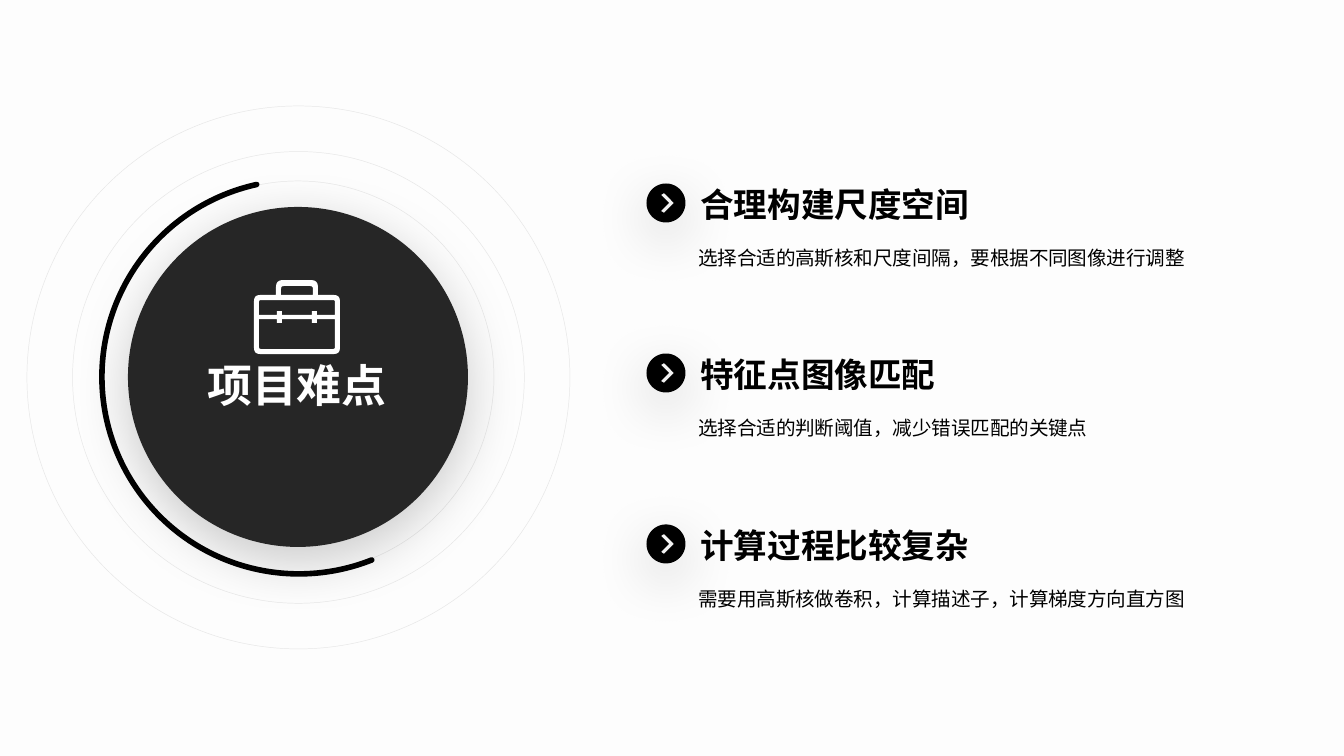
from dataclasses import dataclass
from math import cos, pi, sin

from lxml import etree
from pptx import Presentation
from pptx.dml.color import RGBColor
from pptx.enum.shapes import MSO_SHAPE
from pptx.enum.text import MSO_ANCHOR, MSO_AUTO_SIZE, PP_ALIGN
from pptx.oxml.ns import qn
from pptx.util import Emu, Pt

DONUT, DISC, ARC = MSO_SHAPE.DONUT, MSO_SHAPE.OVAL, MSO_SHAPE.ARC
TOP, GROW = MSO_ANCHOR.TOP, MSO_AUTO_SIZE.SHAPE_TO_FIT_TEXT
LEFT, MID = PP_ALIGN.LEFT, PP_ALIGN.CENTER

WIDE, HIGH = 1344, 756
SCALE = 9144000 / WIDE


@dataclass(frozen=True)
class Theme:
    back: str = "FDFDFD"
    ink: str = "000000"
    dark: str = "262626"
    white: str = "FFFFFF"
    ring: str = "B2B2B2"
    head: str = "Quicksand"
    body: str = "Calibri"
    big: float = 24
    mid: float = 18
    small: float = 10.5


T = Theme()

ITEMS = [
    ("合理构建尺度空间", "选择合适的高斯核和尺度间隔，要根据不同图像进行调整"),
    ("特征点图像匹配", "选择合适的判断阈值，减少错误匹配的关键点"),
    ("计算过程比较复杂", "需要用高斯核做卷积，计算描述子，计算梯度方向直方图"),
]

# Corners of the briefcase: x, y, rounding
CASE = [
    [(254, 295, 6), (276, 295, 0), (276, 280, 7), (318, 280, 7),
     (318, 295, 0), (340, 295, 6), (340, 354, 6), (254, 354, 6)],
    [(281, 295, 0), (281, 286, 3), (313, 286, 3), (313, 295, 0)],
    [(259, 315, 0), (259, 300, 2), (335, 300, 2), (335, 315, 0),
     (317, 315, 0), (317, 311, 0), (312, 311, 0), (312, 315, 0),
     (282, 315, 0), (282, 311, 0), (277, 311, 0), (277, 315, 0)],
    [(259, 319, 0), (277, 319, 0), (277, 323, 0), (282, 323, 0),
     (282, 319, 0), (312, 319, 0), (312, 323, 0), (317, 323, 0),
     (317, 319, 0), (335, 319, 0), (335, 349, 2), (259, 349, 2)],
]
ARROW = [(-5, -8, 1), (-2, -10, 1), (8, 0, 1),
         (-2, 10, 1), (-5, 8, 1), (3, 0, 0)]


def px(n):
    return Emu(round(n * SCALE))


def rgb(code):
    return RGBColor.from_string(code)


def shade(shape):
    """Give a shape a soft shadow below it."""
    shape.shadow.inherit = False
    glow = etree.SubElement(
        shape._element.spPr.find(qn("a:effectLst")), qn("a:outerShdw"),
        blurRad=str(Pt(30)), dist=str(Pt(8)), dir="5400000",
        algn="t", rotWithShape="0")
    tint = etree.SubElement(glow, qn("a:srgbClr"), val=T.ink)
    etree.SubElement(tint, qn("a:alpha"), val="20000")


def paint(shape, fill=None, line=None, width=0):
    shape.shadow.inherit = False
    if fill:
        shape.fill.solid()
        shape.fill.fore_color.rgb = rgb(fill)
    else:
        shape.fill.background()
    if line:
        shape.line.color.rgb = rgb(line)
        shape.line.width = Pt(width)
    else:
        shape.line.fill.background()


def round_form(slide, kind, x, y, size, adj=()):
    shape = slide.shapes.add_shape(kind, px(x), px(y), px(size), px(size))
    for i, value in enumerate(adj):
        shape.adjustments[i] = value
    return shape


def bend(corners):
    """Turn corners into points, rounding each by its own reach."""
    points = []
    for i, (x, y, reach) in enumerate(corners):
        if not reach:
            points.append((x, y))
            continue
        ends = []
        for u, v, _ in (corners[i - 1], corners[(i + 1) % len(corners)]):
            span = ((u - x) ** 2 + (v - y) ** 2) ** 0.5
            ends.append((x + (u - x) * reach / span,
                         y + (v - y) * reach / span))
        (a, b), (c, d) = ends
        for t in (0, 0.25, 0.5, 0.75, 1):
            p, q, r = (1 - t) ** 2, 2 * t * (1 - t), t * t
            points.append((p * a + q * x + r * c, p * b + q * y + r * d))
    return points


def outline(slide, loops, fill):
    """Draw closed loops as one form; inner loops are holes."""
    loops = [[(px(x), px(y)) for x, y in loop] for loop in loops]
    pen = slide.shapes.build_freeform(*loops[0][0], scale=1.0)
    for i, loop in enumerate(loops):
        if i:
            pen.move_to(*loop[0])
        pen.add_line_segments(loop[1:], close=True)
    shape = pen.convert_to_shape()
    paint(shape, fill)
    return shape


def write(shape, text, font, size, color, bold=False, align=LEFT, gap=None):
    frame = shape.text_frame
    frame.word_wrap = True
    frame.auto_size = GROW
    frame.vertical_anchor = TOP
    para = frame.paragraphs[0]
    para.alignment = align
    if gap:
        para.line_spacing = gap
    run = para.add_run()
    run.text = text
    run.font.name = font
    run.font.size = Pt(size)
    run.font.bold = bold
    run.font.color.rgb = rgb(color)


def label(slide, x, y, w, h, *args, **style):
    box = slide.shapes.add_textbox(px(x), px(y), px(w), px(h))
    write(box, *args, **style)


def badge(slide):
    # Faint rings
    for x, y, size, adj in ((27, 106, 543, 0.084), (102, 181, 392, 0.117),
                            (176, 257, 242, 0.189)):
        ring = round_form(slide, DONUT, x, y, size, [adj])
        paint(ring, line=T.ring, width=0.25)
        tint = ring.line._ln.find(".//" + qn("a:srgbClr"))
        etree.SubElement(tint, qn("a:alpha"), val="30000")

    # Dark disc and its arc
    disc = round_form(slide, DISC, 128, 207, 340)
    paint(disc, T.dark)
    shade(disc)
    arc = round_form(slide, ARC, 102, 180, 394, [40.99, 154.57])
    paint(arc, line=T.ink, width=3)
    arc.line._ln.set("cap", "rnd")

    # Title, brought in front of the disc
    title = slide.shapes.title
    title.left, title.top = px(75), px(351)
    title.width, title.height = px(444), px(67)
    write(title, "项目难点", T.head, T.big, T.white, bold=True, align=MID)
    slide.shapes._spTree.append(title._element)

    outline(slide, [bend(loop) for loop in CASE], T.white)


def marker(slide, x, y):
    turns = [2 * pi * i / 72 for i in range(72)]
    rim = [(x + 19.5 * cos(a), y + 19.5 * sin(a)) for a in turns]
    arrow = [(x + u, y + v) for u, v in bend(ARROW)]
    shade(outline(slide, [rim, arrow], T.ink))


def entry(slide, y, head, note):
    marker(slide, 666, y)
    label(slide, 685, y + 25, 546, 48, note, T.body, T.small, T.ink, gap=1.5)
    label(slide, 687, y - 26, 413, 54, head, T.head, T.mid, T.ink, bold=True)


def main():
    deck = Presentation()
    deck.slide_width, deck.slide_height = px(WIDE), px(HIGH)
    slide = deck.slides.add_slide(deck.slide_layouts[5])
    slide.background.fill.solid()
    slide.background.fill.fore_color.rgb = rgb(T.back)

    badge(slide)
    for i, (head, note) in enumerate(ITEMS):
        entry(slide, 203 + i * 341 // 2, head, note)
    deck.save("out.pptx")


if __name__ == "__main__":
    main()
